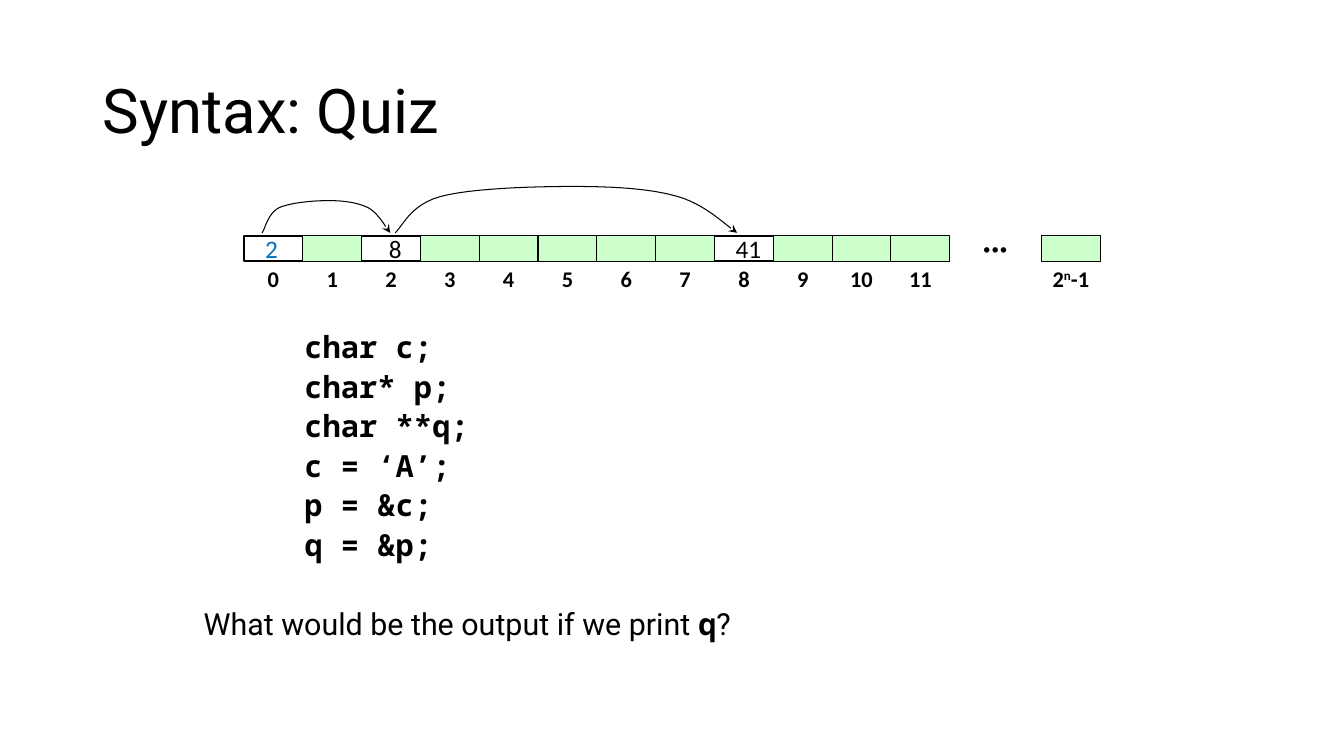
"""Builds the pointer syntax quiz slide with its strip of memory cells."""
import pptx
import pptx.dml.color
import pptx.enum.shapes
import pptx.enum.text
import pptx.util
import pptx.oxml.ns
import lxml.etree

Inches = pptx.util.Inches
Pt = pptx.util.Pt
Align = pptx.enum.text.PP_ALIGN
Anchor = pptx.enum.text.MSO_ANCHOR
RGBColor = pptx.dml.color.RGBColor

BLACK = RGBColor(0x00, 0x00, 0x00)
WHITE = RGBColor(0xFF, 0xFF, 0xFF)
GREEN = RGBColor(0xCC, 0xFF, 0xCC)
BLUE = RGBColor(0x00, 0x70, 0xC0)

SANS, MONO, LABEL, SERIF = "Roboto", "Noto Sans Mono", "Calibri", "Times New Roman"
LEFT, TOP, HIGH = 2.42, 2.34, 0.25
WIDE = 7 / 12
LAST = 10.33
COUNT = 12
VALUES = {0: ("2", 0.21, BLUE), 2: ("8", 0.27, BLACK), 8: ("41", 0.21, BLACK)}
CODE = ["char c;", "char* p;", "char **q;", "c = ‘A’;", "p = &c;", "q = &p;"]
ARCS = [
    [(3.92, 2.31), (3.99, 2.25), (4.07, 2.03), (4.37, 1.95), (4.66, 1.87),
     (5.28, 1.85), (5.68, 1.85), (6.07, 1.85), (6.45, 1.87), (6.72, 1.95),
     (7, 2.03), (7.19, 2.23), (7.31, 2.31)],
    [(2.6, 2.31), (2.63, 2.27), (2.66, 2.11), (2.77, 2.06), (2.88, 2.01),
     (3.11, 1.99), (3.26, 1.99), (3.41, 1.99), (3.55, 2.01), (3.65, 2.06),
     (3.75, 2.11), (3.83, 2.26), (3.87, 2.31)],
]


def bezier(ends, t):
    weights = ((1 - t) ** 3, 3 * t * (1 - t) ** 2, 3 * t * t * (1 - t), t ** 3)
    return tuple(Inches(sum(w * p[axis] for w, p in zip(weights, ends))) for axis in (0, 1))


class Quiz:
    def __init__(self, deck):
        self.slide = deck.slides.add_slide(deck.slide_layouts[5])
        self.shapes = self.slide.shapes

    def run(self, para, text, font, size, bold=False, color=BLACK, raised=False):
        run = para.add_run()
        run.text = text
        run.font.name = font
        run.font.size = Pt(size)
        run.font.bold = bold
        run.font.color.rgb = color
        if raised:
            run.font._element.set("baseline", "30000")

    def frame(self, shape, anchor=Anchor.MIDDLE, inset=0):
        frame = shape.text_frame
        frame.word_wrap = True
        frame.vertical_anchor = anchor
        frame.margin_left = Inches(inset)
        frame.margin_right = frame.margin_top = frame.margin_bottom = 0
        return frame

    def title(self, text):
        shape = self.shapes.title
        shape.left, shape.top = Inches(0.92), Inches(0.4)
        shape.width, shape.height = Inches(11.5), Inches(1.45)
        para = self.frame(shape, inset=0.1).paragraphs[0]
        para.alignment = Align.LEFT
        para.line_spacing = 0.9
        self.run(para, text, SANS, 44)

    def text(self, x, y, w, h, anchor=Anchor.MIDDLE):
        box = self.shapes.add_textbox(Inches(x), Inches(y), Inches(w), Inches(h))
        return self.frame(box, anchor)

    def label(self, x, y, h):
        para = self.text(x, y, WIDE, h).paragraphs[0]
        para.alignment = Align.CENTER
        return para

    def cell(self, x, value=None):
        kind = pptx.enum.shapes.MSO_SHAPE.RECTANGLE
        box = self.shapes.add_shape(kind, Inches(x), Inches(TOP), Inches(WIDE), Inches(HIGH))
        box.shadow.inherit = False
        box.fill.solid()
        box.fill.fore_color.rgb = WHITE if value else GREEN
        box.line.color.rgb = BLACK
        box.line.width = Pt(1 if value else 0.75)
        if value:
            text, inset, color = value
            para = self.frame(box, inset=inset).paragraphs[0]
            para.alignment = Align.LEFT
            self.run(para, text, LABEL, 18, color=color)

    def lines(self, x, y, w, rows):
        frame = self.text(x, y, w, 0.39 * len(rows), Anchor.TOP)
        for i, row in enumerate(rows):
            para = frame.add_paragraph() if i else frame.paragraphs[0]
            para.line_spacing = Pt(28.2)
            for text, font, bold in row:
                self.run(para, text, font, 21.7, bold)

    def arc(self, knots, steps=12):
        points = [bezier(knots[i:i + 4], n / steps)
                  for i in range(0, len(knots) - 1, 3) for n in range(1, steps + 1)]
        x, y = knots[0]
        pen = self.shapes.build_freeform(Inches(x), Inches(y))
        pen.add_line_segments(points, close=False)
        curve = pen.convert_to_shape()
        curve.shadow.inherit = False
        curve.fill.background()
        curve.line.color.rgb = BLACK
        curve.line.width = Pt(0.75)
        tail = lxml.etree.SubElement(curve.line._get_or_add_ln(), pptx.oxml.ns.qn("a:tailEnd"))
        tail.set("type", "stealth")


def main():
    deck = pptx.Presentation()
    deck.slide_width, deck.slide_height = Inches(13.33), Inches(7.5)
    quiz = Quiz(deck)
    quiz.title("Syntax: Quiz")
    for i in range(COUNT):
        x = LEFT + i * WIDE
        quiz.cell(x, VALUES.get(i))
        quiz.run(quiz.label(x, 2.63, 0.27), str(i), LABEL, 16, True)
    quiz.run(quiz.label(9.58, TOP, HIGH), "∙∙∙", SERIF, 24, True)
    quiz.cell(LAST)
    para = quiz.label(LAST, 2.63, 0.27)
    for text, raised in (("2", False), ("n", True), ("-1", False)):
        quiz.run(para, text, LABEL, 16, True, raised=raised)
    for knots in ARCS:
        quiz.arc(knots)
    quiz.lines(3.02, 3.23, 5, [[(row, MONO, True)] for row in CODE])
    quiz.lines(2.02, 5.97, 9, [[("What would be the output if we print ", SANS, False),
                                ("q", MONO, True), ("?", SANS, False)]])
    deck.save("out.pptx")


if __name__ == "__main__":
    main()
